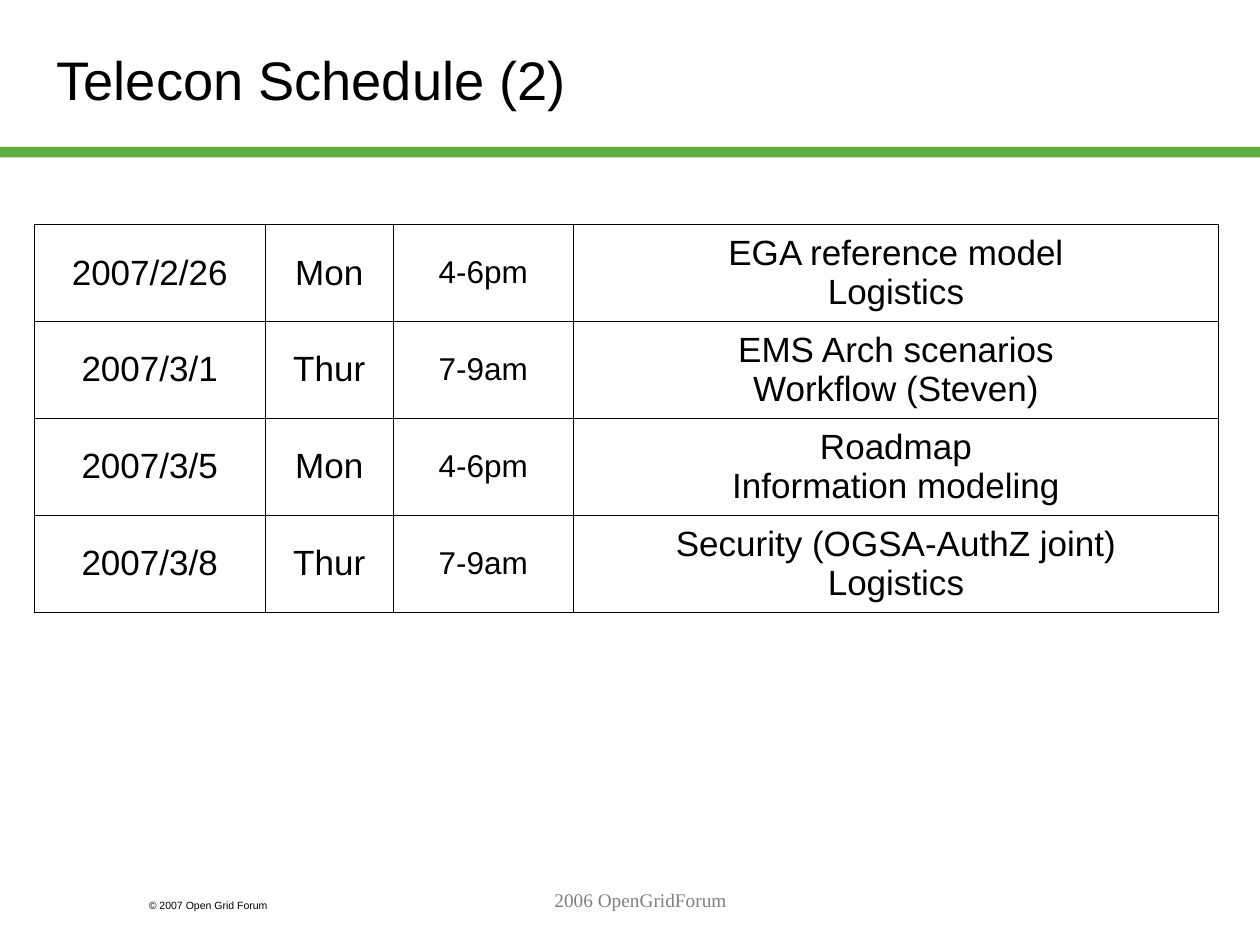
"""Build the second telecon schedule slide with its table of calls."""
from lxml.etree import SubElement
from pptx import Presentation
from pptx.dml.color import RGBColor
from pptx.enum.shapes import MSO_SHAPE
from pptx.enum.text import MSO_ANCHOR, MSO_AUTO_SIZE, PP_ALIGN
from pptx.oxml.ns import qn
from pptx.util import Pt


def color(code):
    return RGBColor.from_string(code)


def write(frame, text, align, size, font="Arial", code="000000"):
    frame.text = text
    frame.word_wrap = True
    for paragraph in frame.paragraphs:
        paragraph.alignment = align
        values = {"name": font, "size": Pt(size), "bold": False}
        for name, value in values.items():
            setattr(paragraph.font, name, value)
        paragraph.font.color.rgb = color(code)


deck = Presentation()
deck.slide_width, deck.slide_height = Pt(720), Pt(540)
page = deck.slides.add_slide(deck.slide_layouts[5])

title = page.shapes.title
place = {"left": 25.2, "top": 12.2, "width": 640.8, "height": 65.5}
for name, value in place.items():
    setattr(title, name, Pt(value))
write(title.text_frame, "Telecon Schedule (2)", PP_ALIGN.LEFT, 31)
title.text_frame.auto_size = MSO_AUTO_SIZE.NONE
title.text_frame.vertical_anchor = MSO_ANCHOR.MIDDLE

rule = page.shapes.add_shape(MSO_SHAPE.RECTANGLE, 0, Pt(84), Pt(720), Pt(6))
rule.shadow.inherit = False
rule.fill.solid()
rule.fill.fore_color.rgb = color("5DAD41")
rule.line.fill.background()

copyright_box = page.shapes.add_textbox(Pt(78), Pt(510), Pt(108), Pt(14.4))
write(copyright_box.text_frame, "© 2007 Open Grid Forum", PP_ALIGN.LEFT, 6)

schedule = [
    ("2007/2/26", "Mon", "4-6pm", "EGA reference model\nLogistics"),
    ("2007/3/1", "Thur", "7-9am", "EMS Arch scenarios\nWorkflow (Steven)"),
    ("2007/3/5", "Mon", "4-6pm", "Roadmap\nInformation modeling"),
    ("2007/3/8", "Thur", "7-9am", "Security (OGSA-AuthZ joint)\nLogistics"),
]
widths = [132, 73.2, 102.9, 368.7]
sizes = [20, 20, 18, 20]
row_height = 55.4
table = page.shapes.add_table(
    len(schedule), len(widths), Pt(19.6), Pt(128.2),
    Pt(sum(widths)), Pt(row_height * len(schedule))).table
table.first_row = table.horz_banding = False
for column, width in zip(table.columns, widths):
    column.width = Pt(width)
for row, entry in zip(table.rows, schedule):
    row.height = Pt(row_height)
    for cell, text, size in zip(row.cells, entry, sizes):
        write(cell.text_frame, text, PP_ALIGN.CENTER, size)
        cell.vertical_anchor = MSO_ANCHOR.MIDDLE
        properties = cell._tc.get_or_add_tcPr()
        for side in ("lnL", "lnR", "lnT", "lnB"):
            border = SubElement(properties, qn(f"a:{side}"), w=str(Pt(0.45)))
            fill = SubElement(border, qn("a:solidFill"))
            SubElement(fill, qn("a:srgbClr"), val="000000")
        cell.fill.solid()
        cell.fill.fore_color.rgb = color("FFFFFF")

footer = page.shapes.add_textbox(Pt(156), Pt(504), Pt(420), Pt(36))
write(footer.text_frame, "2006 OpenGridForum", PP_ALIGN.CENTER, 11, "Times New Roman", "808080")

deck.save("out.pptx")
